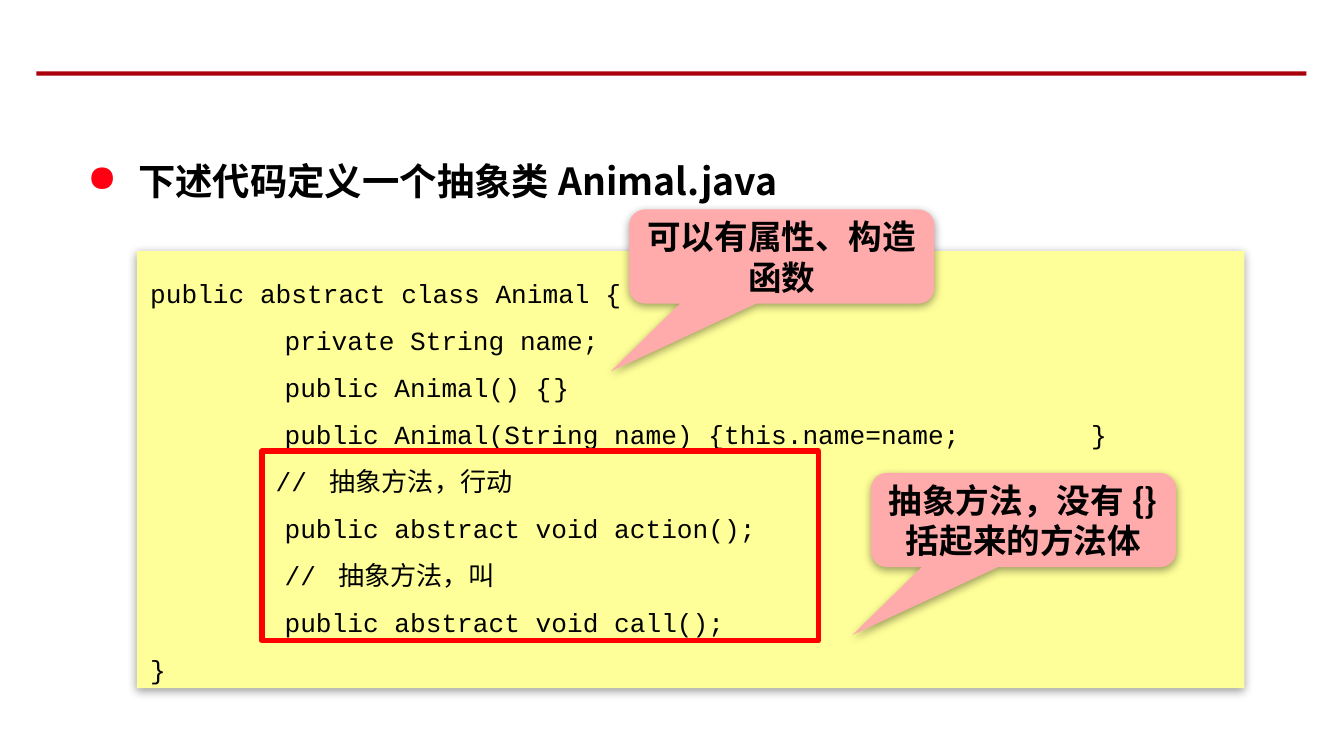
from dataclasses import dataclass

from pptx import Presentation
from pptx.dml.color import RGBColor
from pptx.enum.shapes import MSO_SHAPE as Preset
from pptx.enum.text import MSO_ANCHOR as Anchor, PP_ALIGN as Align
from pptx.oxml import parse_xml
from pptx.oxml.ns import nsdecls, qn
from pptx.util import Cm, Pt


@dataclass(frozen=True)
class Theme:
    rule: str = "AA000B"
    bullet: str = "FF0012"
    code_fill: str = "FFFF99"
    callout_fill: str = "FFAAAB"
    frame: str = "FF0000"
    ink: str = "000000"
    sans: str = "Noto Sans CJK SC"
    mono: str = "Courier New"
    heading_size: float = 20
    callout_size: float = 18
    code_size: float = 14
    heading_pitch: float = 37.4
    code_pitch: float = 25.2


THEME = Theme()

CODE = [
    "public abstract class Animal {",
    "\tprivate String name;",
    "\tpublic Animal() {\t}",
    "\tpublic Animal(String name) {this.name=name;\t}",
    "        // 抽象方法，行动",
    "\tpublic abstract void action();",
    "\t// 抽象方法，叫",
    "\tpublic abstract void call();",
    "}",
]


def add_panel(page, area, preset=Preset.RECTANGLE, fill=None):
    """Add a shape without outline or shadow; area is in centimetres."""
    panel = page.shapes.add_shape(preset, *map(Cm, area))
    panel.shadow.inherit = False
    panel.line.fill.background()
    if fill:
        panel.fill.solid()
        panel.fill.fore_color.rgb = RGBColor.from_string(fill)
    else:
        panel.fill.background()
    return panel


def add_soft_shadow(panel):
    effects = panel._element.spPr.find(qn("a:effectLst"))
    effects.append(parse_xml(
        f'<a:outerShdw {nsdecls("a")} blurRad="{Pt(5)}" dist="{Pt(1.6)}" '
        'dir="5400000" rotWithShape="0"><a:srgbClr val="000000">'
        '<a:alpha val="38000"/></a:srgbClr></a:outerShdw>'))


def add_span(para, text, font, size, bold=False):
    span = para.add_run()
    span.text = text
    span.font.name = font
    span.font.size = Pt(size)
    span.font.bold = bold
    span.font.color.rgb = RGBColor.from_string(THEME.ink)
    # East Asian characters take the same face
    span.font._element.find(qn("a:latin")).addnext(
        parse_xml(f'<a:ea {nsdecls("a")} typeface="{font}"/>'))


def add_heading(page, area, text):
    box = page.shapes.add_textbox(*map(Cm, area))
    box.text_frame.word_wrap = True
    para = box.text_frame.paragraphs[0]
    props = para._p.get_or_add_pPr()
    props.set("marL", str(Cm(0.96)))
    props.set("indent", str(-Cm(0.96)))
    props.append(parse_xml(
        f'<a:buClr {nsdecls("a")}><a:srgbClr val="{THEME.bullet}"/></a:buClr>'))
    props.append(parse_xml(f'<a:buChar {nsdecls("a")} char="●"/>'))
    para.line_spacing = Pt(THEME.heading_pitch)
    add_span(para, text, THEME.sans, THEME.heading_size, bold=True)


def add_code(page, area, lines):
    panel = add_panel(page, area, fill=THEME.code_fill)
    add_soft_shadow(panel)
    frame = panel.text_frame
    frame.word_wrap = True
    frame.vertical_anchor = Anchor.TOP
    frame.margin_top = Cm(0.2)
    for number, line in enumerate(lines):
        para = frame.add_paragraph() if number else frame.paragraphs[0]
        para.alignment = Align.LEFT
        para.line_spacing = Pt(THEME.code_pitch)
        para._p.get_or_add_pPr().set("defTabSz", str(Cm(2.54)))
        add_span(para, line, THEME.mono, THEME.code_size)


def add_frame(page, area):
    frame = add_panel(page, area)
    frame.line.color.rgb = RGBColor.from_string(THEME.frame)
    frame.line.width = Pt(3)


def add_callout(page, area, text):
    callout = add_panel(page, area, Preset.ROUNDED_RECTANGULAR_CALLOUT,
                        THEME.callout_fill)
    for index, value in enumerate((-0.56, 1.22, 0.17)):
        callout.adjustments[index] = value
    add_soft_shadow(callout)
    callout.text_frame.word_wrap = True
    callout.text_frame.vertical_anchor = Anchor.MIDDLE
    para = callout.text_frame.paragraphs[0]
    para.alignment = Align.CENTER
    add_span(para, text, THEME.sans, THEME.callout_size, bold=True)


def main():
    deck = Presentation()
    deck.slide_width, deck.slide_height = Cm(25.4), Cm(14.29)
    page = deck.slides.add_slide(deck.slide_layouts[6])

    # Rule across the top
    add_panel(page, (0.69, 1.35, 24, 0.08), fill=THEME.rule)

    # Heading and code listing
    add_heading(page, (1.4, 2.39, 22.81, 1.6), "下述代码定义一个抽象类Animal.java")
    add_code(page, (2.59, 4.75, 20.93, 8.26), CODE)

    # Frame round the abstract methods, and the two remarks
    add_frame(page, (4.95, 8.53, 10.52, 3.58))
    add_callout(page, (16.46, 8.94, 5.77, 1.78), "抽象方法，没有{}括起来的方法体")
    add_callout(page, (11.89, 3.96, 5.77, 1.78), "可以有属性、构造函数")

    deck.save("out.pptx")


if __name__ == "__main__":
    main()
